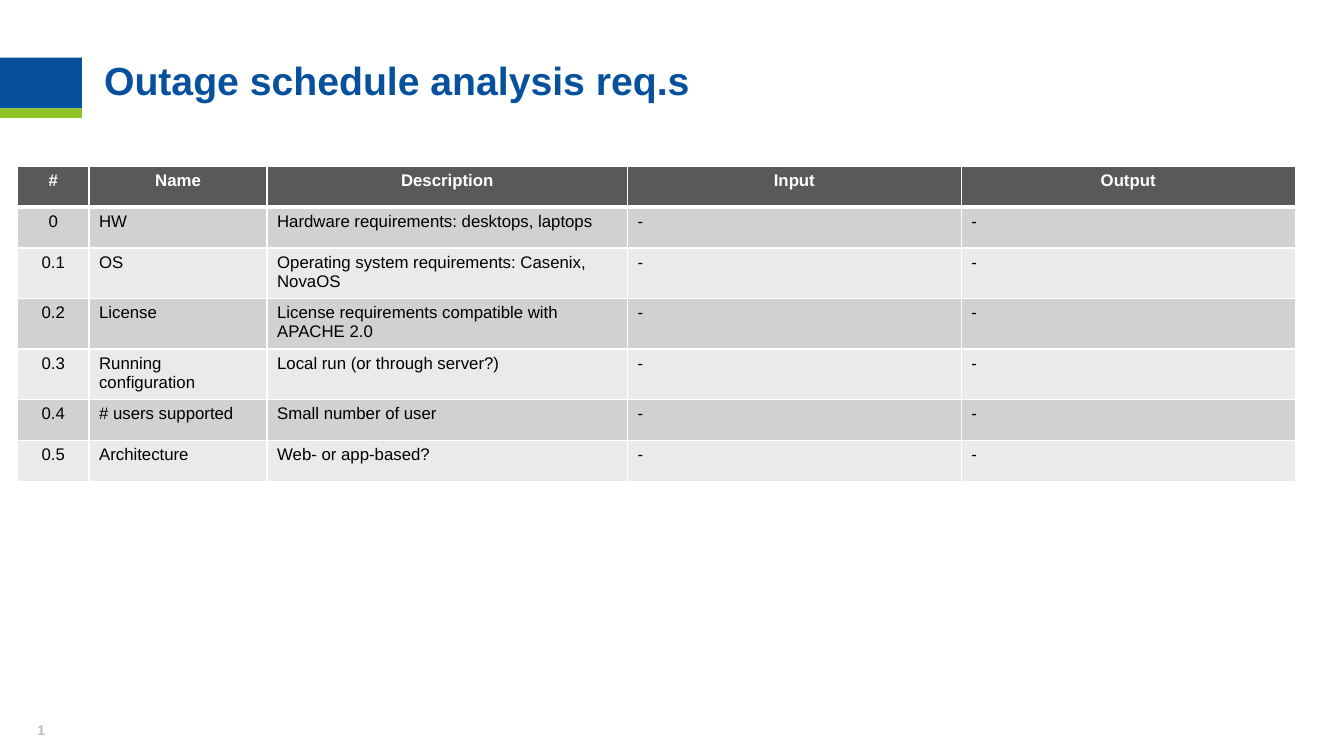
from dataclasses import dataclass

import lxml.etree
import pptx
import pptx.dml.color
import pptx.enum.shapes
import pptx.enum.text
import pptx.oxml.ns
import pptx.util

ALIGN = pptx.enum.text.PP_ALIGN
ANCHOR = pptx.enum.text.MSO_ANCHOR

# The slide is a grid of 160 columns by 90 rows.
WIDTH, HEIGHT = pptx.util.Inches(13.33), pptx.util.Inches(7.5)
COLS, ROWS = 160, 90

HUES = {
    "blue": "06509D",
    "green": "8EC423",
    "gray": "BCBCBE",
    "head": "59595C",
    "dark": "D1D1D2",
    "light": "EAEAEA",
    "white": "FFFFFF",
    "black": "000000",
}


@dataclass
class Box:
    left: float
    top: float
    width: float
    height: float


@dataclass
class Bar:
    box: Box
    hue: str


@dataclass
class Style:
    size: float
    hue: str
    bold: bool = False
    align: ALIGN = ALIGN.LEFT


@dataclass
class Label:
    text: str
    box: Box
    style: Style
    pads: tuple[float, float, float, float]
    anchor: ANCHOR = ANCHOR.TOP
    pitch: float = 1.0


@dataclass
class Column:
    name: str
    width: float
    align: ALIGN = ALIGN.LEFT


BARS = [
    Bar(Box(0, 6.85, 9.75, 6.05), "blue"),
    Bar(Box(0, 12.9, 9.75, 1.15), "green"),
]
LABELS = [
    Label("Outage schedule analysis req.s", Box(12.4, 7.3, 136.7, 6.7),
          Style(28, "blue", True), (0, 0, 1.2, 0.6), pitch=0.9),
    Label("1", Box(2, 85.2, 5.8, 4.8),
          Style(10, "gray", True, ALIGN.CENTER), (1.2, 0.6, 1.2, 2), ANCHOR.MIDDLE),
]
FIELDS = [
    Column("#", 8.5, ALIGN.CENTER),
    Column("Name", 21.2),
    Column("Description", 42.9),
    Column("Input", 39.75),
    Column("Output", 39.75),
]
NEEDS = [
    ("0", "HW", "Hardware requirements: desktops, laptops"),
    ("0.1", "OS", "Operating system requirements: Casenix, NovaOS"),
    ("0.2", "License", "License requirements compatible with APACHE 2.0"),
    ("0.3", "Running configuration", "Local run (or through server?)"),
    ("0.4", "# users supported", "Small number of user"),
    ("0.5", "Architecture", "Web- or app-based?"),
]
TABLE_LEFT, TABLE_TOP, ROW_HEIGHT = 2.1, 19.8, 4.87


def across(count: float) -> int:
    return round(WIDTH * count / COLS)


def down(count: float) -> int:
    return round(HEIGHT * count / ROWS)


def place(box: Box) -> tuple[int, int, int, int]:
    return across(box.left), down(box.top), across(box.width), down(box.height)


def color(hue: str) -> pptx.dml.color.RGBColor:
    return pptx.dml.color.RGBColor.from_string(HUES[hue])


def write(frame, text: str, style: Style) -> None:
    frame.text = text
    line = frame.paragraphs[0]
    line.alignment = style.align
    for run in line.runs:
        run.font.name = "Arial"
        run.font.size = pptx.util.Pt(style.size)
        run.font.bold = style.bold
        run.font.color.rgb = color(style.hue)


def draw_bar(slide, bar: Bar) -> None:
    shape = slide.shapes.add_shape(pptx.enum.shapes.MSO_SHAPE.RECTANGLE, *place(bar.box))
    shape.shadow.inherit = False
    shape.fill.solid()
    shape.fill.fore_color.rgb = color(bar.hue)
    shape.line.fill.background()


def draw_label(slide, label: Label) -> None:
    frame = slide.shapes.add_textbox(*place(label.box)).text_frame
    frame.word_wrap = True
    frame.vertical_anchor = label.anchor
    left, top, right, bottom = label.pads
    frame.margin_left, frame.margin_right = across(left), across(right)
    frame.margin_top, frame.margin_bottom = down(top), down(bottom)
    write(frame, label.text, label.style)
    frame.paragraphs[0].line_spacing = label.pitch


def edge(cell, row: int) -> None:
    """Add white borders, thick between the header and the body."""
    name = pptx.oxml.ns.qn
    props = cell._tc.get_or_add_tcPr()
    for side in "LRTB":
        thick = (row, side) in ((0, "B"), (1, "T"))
        line = lxml.etree.SubElement(props, name(f"a:ln{side}"),
                                     w=str(pptx.util.Pt(3 if thick else 1)))
        fill = lxml.etree.SubElement(line, name("a:solidFill"))
        lxml.etree.SubElement(fill, name("a:srgbClr"), val=HUES["white"])


def draw_table(slide) -> None:
    lines = [tuple(field.name for field in FIELDS)]
    lines += [(*need, "-", "-") for need in NEEDS]
    box = Box(TABLE_LEFT, TABLE_TOP, sum(field.width for field in FIELDS),
              ROW_HEIGHT * len(lines))
    table = slide.shapes.add_table(len(lines), len(FIELDS), *place(box)).table
    for column, field in zip(table.columns, FIELDS):
        column.width = across(field.width)
    for row, texts in enumerate(lines):
        table.rows[row].height = down(ROW_HEIGHT)
        for col, text in enumerate(texts):
            cell = table.cell(row, col)
            if row == 0:
                hue, style = "head", Style(12, "white", True, ALIGN.CENTER)
            else:
                hue = "dark" if row % 2 else "light"
                style = Style(12, "black", align=FIELDS[col].align)
            write(cell.text_frame, text, style)
            edge(cell, row)
            cell.fill.solid()
            cell.fill.fore_color.rgb = color(hue)


def main() -> None:
    deck = pptx.Presentation()
    deck.slide_width, deck.slide_height = WIDTH, HEIGHT
    slide = deck.slides.add_slide(deck.slide_layouts[6])
    for bar in BARS:
        draw_bar(slide, bar)
    for label in LABELS:
        draw_label(slide, label)
    draw_table(slide)
    deck.save("out.pptx")


if __name__ == "__main__":
    main()
